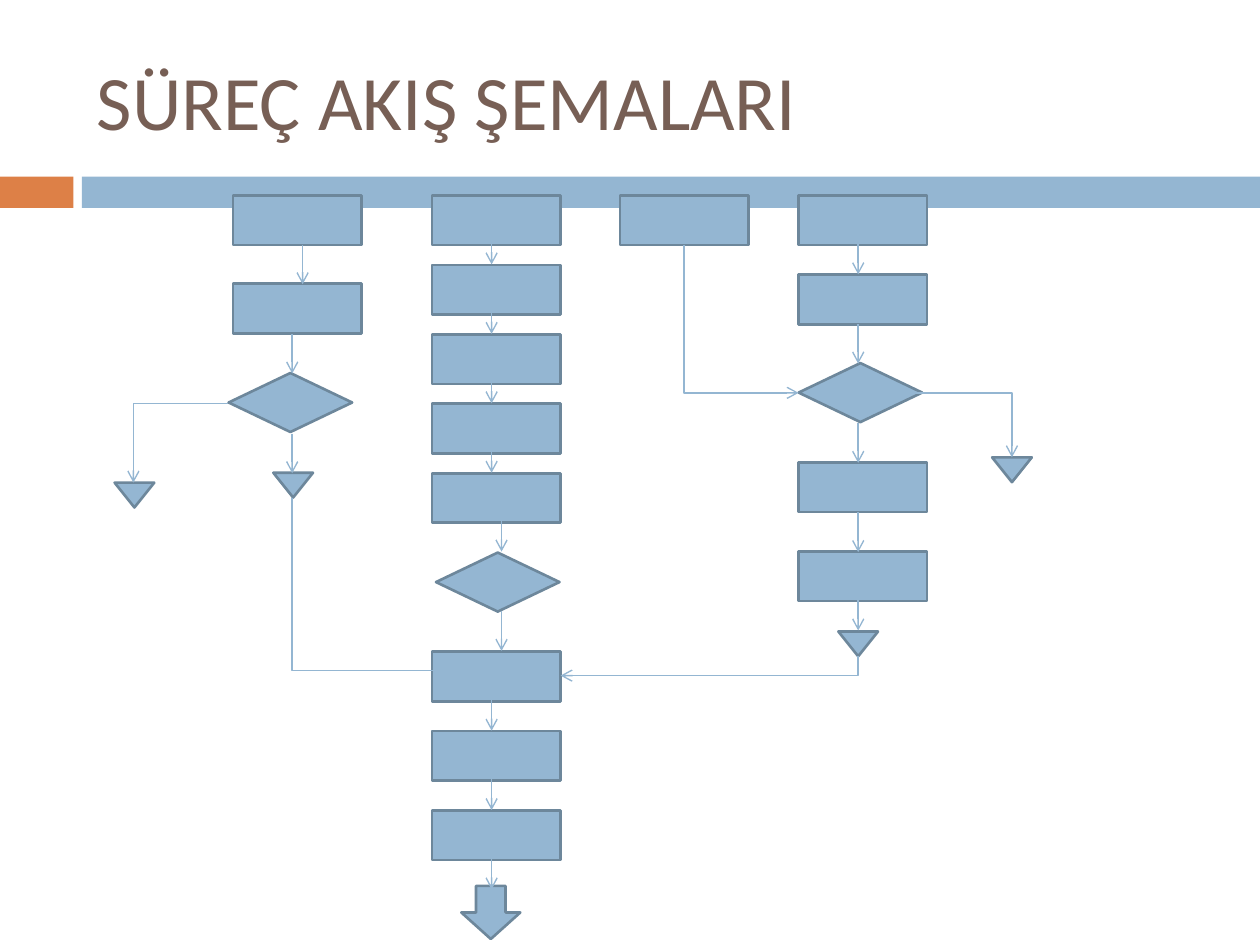
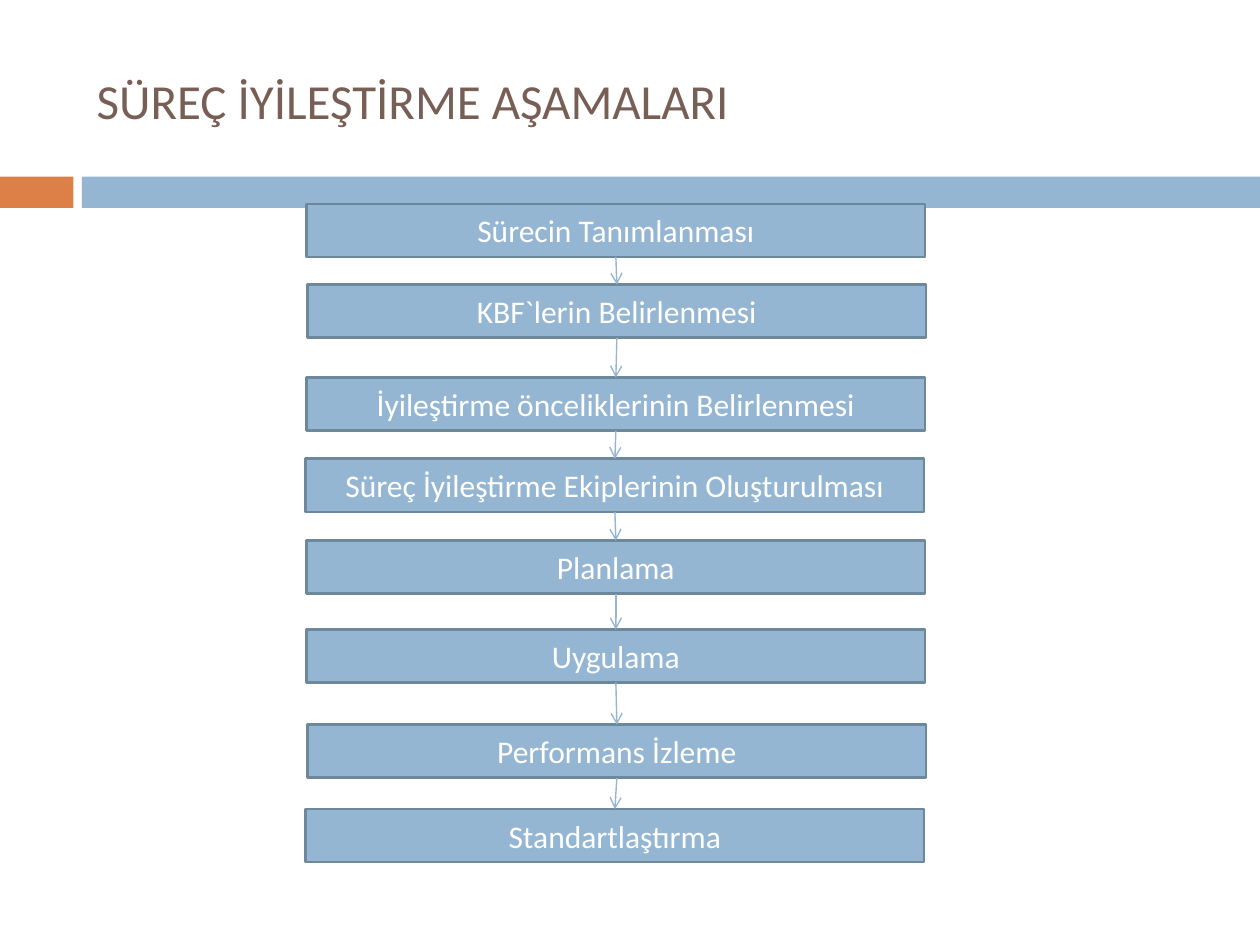
from lxml import etree
from pptx import Presentation
from pptx.dml.color import RGBColor
from pptx.enum.shapes import MSO_CONNECTOR as Connector, MSO_SHAPE as Shape
from pptx.enum.text import MSO_ANCHOR as Anchor, PP_ALIGN as Align
from pptx.oxml.ns import qn
from pptx.util import Cm, Pt

BLUE = RGBColor(0x94, 0xB6, 0xD2)
OUTLINE = RGBColor(0x6D, 0x87, 0x9B)
ORANGE = RGBColor(0xDD, 0x80, 0x47)
BROWN = RGBColor(0x77, 0x5F, 0x55)
WHITE = RGBColor(0xFF, 0xFF, 0xFF)
FONT = "Calibri"

STEP_SIZE = (2.59, 1)
DECISION_SIZE = (2.49, 1.19)
JUNCTION_SIZE = (0.8, 0.5)
EXIT_SIZE = (1.19, 1.07)
ARROW_LENGTH = 0.8

STEP_COLUMNS = {
    2.39: [0, 1.78],
    6.4: [0, 1.4, 2.8, 4.2, 5.6, 9.2, 10.8, 12.4],
    10.19: [0],
    13.79: [0, 1.6, 5.38, 7.18],
}
JUNCTIONS = [(14.59, 8.79), (17.69, 5.28), (3.2, 5.59), (0, 5.79)]
DECISIONS = [(6.48, 7.2), (13.79, 3.38), (2.3, 3.58)]
EXIT = (6.99, 13.92)
ARROW_COLUMNS = {
    3.79: [0.99],
    3.58: [2.79, 4.8],
    7.6: [0.59, 1.99, 3.39, 4.79, 9.99, 11.59, 13.19],
    7.8: [6.38, 8.38],
    14.99: [0.79, 2.59, 4.59, 6.39, 7.97],
}
SIDEWAYS_ELBOWS = [((15.98, 3.98), (18.09, 5.28)), ((2.29, 4.19), (0.38, 5.79))]
DOWNWARD_ELBOWS = [
    ((3.58, 6.09), (7.8, 9.58)),
    ((14.99, 9.29), (8.99, 9.68)),
    ((11.48, 0.99), (13.79, 3.98)),
]

STAGES = [
    ("Sürecin Tanımlanması", 0.02, 0),
    ("KBF`lerin Belirlenmesi", 0.04, 1.63),
    ("İyileştirme önceliklerinin Belirlenmesi", 0.02, 3.5),
    ("Süreç İyileştirme Ekiplerinin Oluşturulması", 0, 5.14),
    ("Planlama", 0.02, 6.79),
    ("Uygulama", 0.02, 8.58),
    ("Performans İzleme", 0.04, 10.5),
    ("Standartlaştırma", 0, 12.2),
]


def add_block(slide, kind, left, top, size, fill=BLUE, outline=OUTLINE):
    shape = slide.shapes.add_shape(kind, Cm(left), Cm(top), *map(Cm, size))
    shape.shadow.inherit = False
    shape.fill.solid()
    shape.fill.fore_color.rgb = fill
    if outline:
        shape.line.color.rgb = outline
        shape.line.width = Pt(1.5)
    else:
        shape.line.fill.background()
    return shape


def write(shape, text, size, color, align):
    frame = shape.text_frame
    frame.word_wrap = True
    frame.vertical_anchor = Anchor.MIDDLE
    paragraph = frame.paragraphs[0]
    paragraph.text = text
    paragraph.alignment = align
    paragraph.font.name = FONT
    paragraph.font.size = Pt(size)
    paragraph.font.color.rgb = color


def add_arrow(slide, start=(0, 0), end=(0, 0), kind=Connector.STRAIGHT):
    connector = slide.shapes.add_connector(kind, *map(Cm, (*start, *end)))
    connector.line.color.rgb = BLUE
    connector.line.width = Pt(0.79)
    properties = connector._element.spPr
    etree.SubElement(properties.find(qn("a:ln")), qn("a:tailEnd"), type="arrow")
    etree.SubElement(properties, qn("a:effectLst"))
    return connector


def add_elbow(slide, start, end, downward):
    rotation = 0
    if downward:
        (x1, y1), (x2, y2) = start, end
        middle_x, middle_y = (x1 + x2) / 2, (y1 + y2) / 2
        half_width, half_height = (y2 - y1) / 2, abs(x2 - x1) / 2
        direction = -1 if x2 > x1 else 1
        rotation = 270 if x2 > x1 else 90
        start = (middle_x - direction * half_width, middle_y - half_height)
        end = (middle_x + direction * half_width, middle_y + half_height)
    connector = add_arrow(slide, start, end, Connector.ELBOW)
    properties = connector._element.spPr
    properties.find(qn("a:prstGeom")).set("prst", "bentConnector2")
    if rotation:
        properties.find(qn("a:xfrm")).set("rot", str(rotation * 60000))


def add_titled_slide(presentation, title, size):
    slide = presentation.slides.add_slide(presentation.slide_layouts[6])
    add_block(slide, Shape.RECTANGLE, 0, 3.56, (1.48, 0.63), ORANGE, None)
    add_block(slide, Shape.RECTANGLE, 1.65, 3.56, (23.75, 0.63), BLUE, None)
    box = slide.shapes.add_textbox(Cm(1.7), Cm(0.64), Cm(22.66), Cm(2.74))
    write(box, title, size, BROWN, Align.LEFT)
    return slide


def add_flowchart(slide, left, top):
    def place(point):
        return left + point[0], top + point[1]

    def column_points(columns):
        return [(x, y) for x, offsets in columns.items() for y in offsets]

    for point in column_points(STEP_COLUMNS):
        add_block(slide, Shape.RECTANGLE, *place(point), STEP_SIZE)
    for point in JUNCTIONS:
        junction = add_block(slide, Shape.ISOSCELES_TRIANGLE, *place(point), JUNCTION_SIZE)
        junction.rotation = 180
    add_block(slide, Shape.DOWN_ARROW, *place(EXIT), EXIT_SIZE)
    for point in DECISIONS:
        add_block(slide, Shape.DIAMOND, *place(point), DECISION_SIZE)

    for x, y in column_points(ARROW_COLUMNS):
        add_arrow(slide, place((x, y)), place((x, y + ARROW_LENGTH)))
    for elbows, downward in ((SIDEWAYS_ELBOWS, False), (DOWNWARD_ELBOWS, True)):
        for start, end in elbows:
            add_elbow(slide, place(start), place(end), downward)


def add_stages(slide, left, top, width, height):
    previous = None
    for text, shift, offset in STAGES:
        stage = add_block(slide, Shape.RECTANGLE, left + shift, top + offset, (width, height))
        write(stage, text, 18, WHITE, Align.CENTER)
        if previous:
            arrow = add_arrow(slide)
            arrow.begin_connect(previous, 2)
            arrow.end_connect(stage, 0)
        previous = stage


def main():
    presentation = Presentation()
    presentation.slide_width = Cm(25.4)
    presentation.slide_height = Cm(19.05)
    add_flowchart(add_titled_slide(presentation, "SÜREÇ AKIŞ ŞEMALARI", 44), 2.31, 3.94)
    add_stages(
        add_titled_slide(presentation, "SÜREÇ İYİLEŞTİRME AŞAMALARI", 28),
        6.16, 4.11, 12.47, 1.07,
    )
    presentation.save("out.pptx")


if __name__ == "__main__":
    main()
